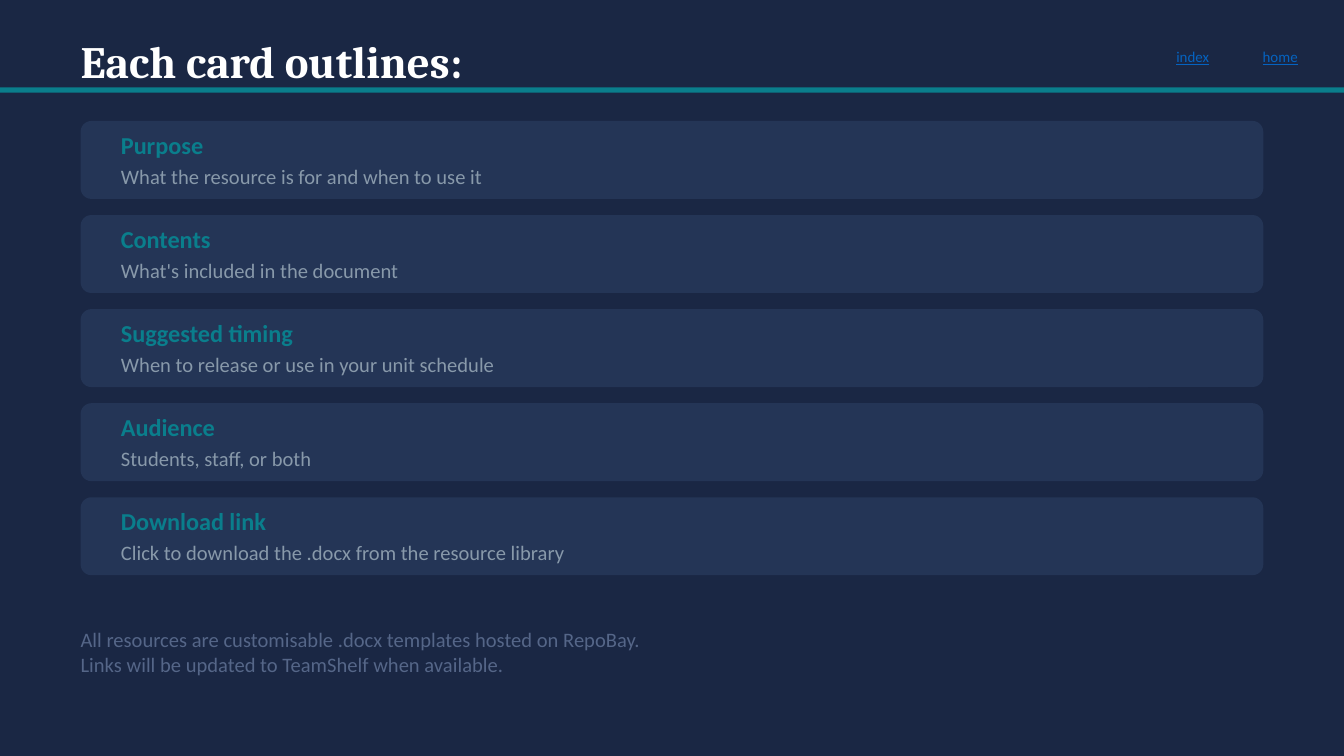
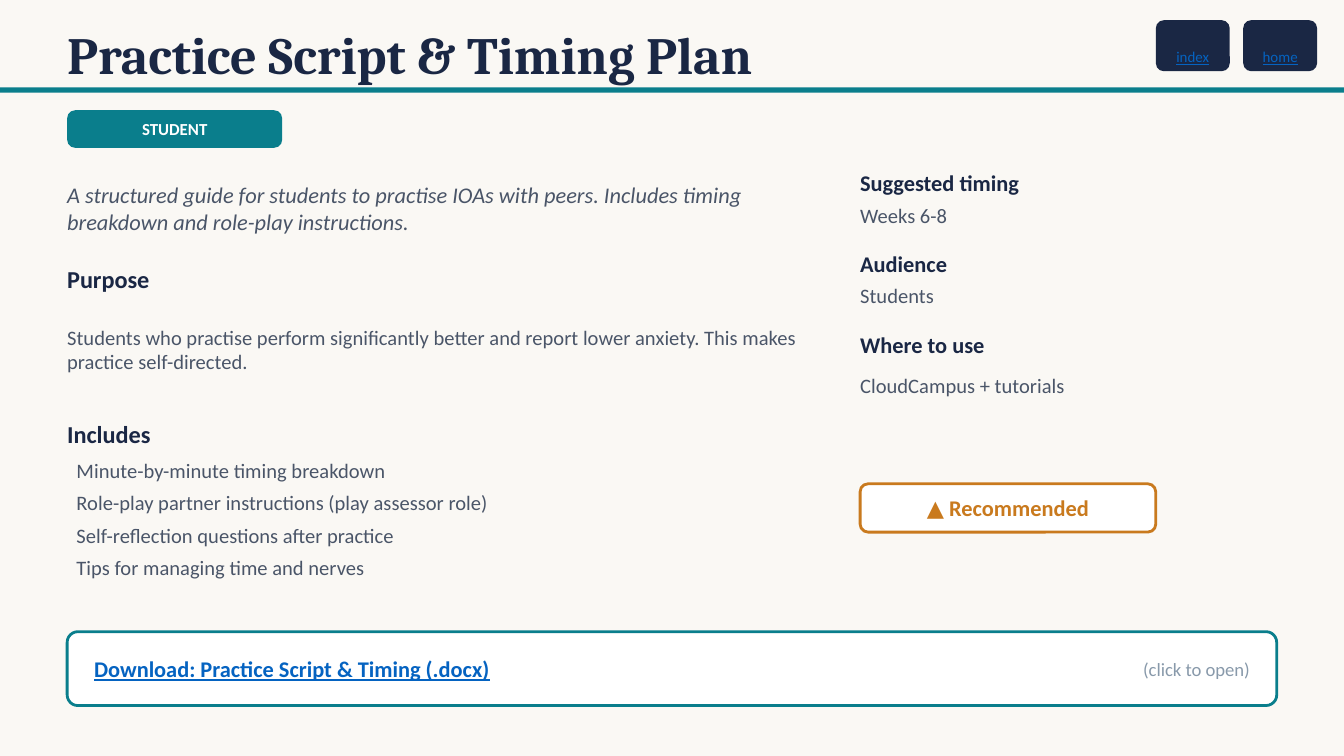
from pptx import Presentation
from pptx.dml.color import RGBColor
from pptx.enum.shapes import MSO_SHAPE
from pptx.enum.text import MSO_ANCHOR, MSO_AUTO_SIZE, PP_ALIGN
from pptx.util import Pt

NAVY = RGBColor(0x1A, 0x27, 0x44)
CARD_NAVY = RGBColor(0x24, 0x35, 0x56)
TEAL = RGBColor(0x0A, 0x7E, 0x8C)
CREAM = RGBColor(0xFA, 0xF8, 0xF4)
WHITE = RGBColor(0xFF, 0xFF, 0xFF)
SLATE = RGBColor(0x4A, 0x55, 0x68)
MIST = RGBColor(0x88, 0x99, 0xAA)
DUSK = RGBColor(0x55, 0x66, 0x88)
AMBER = RGBColor(0xC9, 0x7A, 0x1E)
LINK_BLUE = RGBColor(0x05, 0x63, 0xC1)

RECT, ROUNDED = MSO_SHAPE.RECTANGLE, MSO_SHAPE.ROUNDED_RECTANGLE
LEFT, CENTER, RIGHT = PP_ALIGN.LEFT, PP_ALIGN.CENTER, PP_ALIGN.RIGHT
MIDDLE, BOTTOM = MSO_ANCHOR.MIDDLE, MSO_ANCHOR.BOTTOM
NO_FIT = MSO_AUTO_SIZE.NONE

WIDTH, HEIGHT = 720, 405
TITLE_ONLY = 5
SMALL_RADIUS, LARGE_RADIUS = 4.32, 5.76
NAV_LINKS = {"index": 619.2, "home": 666}

HEADING = {"size": 13, "bold": True}
SIDE_HEADING = {"size": 12, "bold": True}
BODY = {"size": 11}
NAV_LINK = {"size": 8, "underline": True}

CARDS = [
    ("Purpose", "What the resource is for and when to use it"),
    ("Contents", "What's included in the document"),
    ("Suggested timing", "When to release or use in your unit schedule"),
    ("Audience", "Students, staff, or both"),
    ("Download link", "Click to download the .docx from the resource library"),
]
INCLUDES = [
    "Minute-by-minute timing breakdown",
    "Role-play partner instructions (play assessor role)",
    "Self-reflection questions after practice",
    "Tips for managing time and nerves",
]
SIDE_FACTS = [
    ("Suggested timing", "Weeks 6-8", 15.84),
    ("Audience", "Students", 15.84),
    ("Where to use", "CloudCampus + tutorials", 25.2),
]


class Deck:
    def __init__(self):
        self.deck = Presentation()
        self.deck.slide_width, self.deck.slide_height = Pt(WIDTH), Pt(HEIGHT)
        self.page = None

    def new_page(self, background):
        self.page = self.deck.slides.add_slide(self.deck.slide_layouts[TITLE_ONLY])
        fill = self.page.background.fill
        fill.solid()
        fill.fore_color.rgb = background

    def set_text(self, box, content, color, style, align=LEFT, anchor=MIDDLE,
                 indent=0, below=0, font="Calibri"):
        frame = box.text_frame
        frame_format = {
            "word_wrap": True, "auto_size": NO_FIT, "vertical_anchor": anchor,
            "margin_left": Pt(indent), "margin_top": 0,
            "margin_right": 0, "margin_bottom": Pt(below),
        }
        for name, value in frame_format.items():
            setattr(frame, name, value)
        font_format = {**style, "name": font, "size": Pt(style["size"])}
        for number, line in enumerate(content.split("\n")):
            para = frame.add_paragraph() if number else frame.paragraphs[0]
            para.alignment = align
            span = para.add_run()
            span.text = line
            for name, value in font_format.items():
                setattr(span.font, name, value)
            span.font.color.rgb = color

    def title(self, content, place, size, color):
        box = self.page.shapes.title
        for name, value in zip(("left", "top", "width", "height"), place):
            setattr(box, name, Pt(value))
        self.set_text(box, content, color, {"size": size, "bold": True}, font="Cambria")

    def text(self, content, place, color, style, **layout):
        box = self.page.shapes.add_textbox(*map(Pt, place))
        self.set_text(box, content, color, style, **layout)

    def panel(self, place, fill, radius=0, outline=None):
        kind = ROUNDED if radius else RECT
        panel = self.page.shapes.add_shape(kind, *map(Pt, place))
        panel.shadow.inherit = False
        panel.fill.solid()
        panel.fill.fore_color.rgb = fill
        if radius:
            panel.adjustments[0] = radius / place[3]
        if outline is None:
            panel.line.fill.background()
        else:
            panel.line.color.rgb = outline
            panel.line.width = Pt(1.5)

    def badge(self, content, place, fill, color, style, outline=None, **layout):
        self.panel(place, fill, SMALL_RADIUS, outline)
        self.text(content, place, color, style, align=CENTER, **layout)

    def header(self):
        self.panel((0, 46.8, WIDTH, 2.88), TEAL)
        for label, left in NAV_LINKS.items():
            self.badge(label, (left, 10.8, 39.6, 27.36), NAVY, LINK_BLUE, NAV_LINK,
                       anchor=BOTTOM, below=2.88)


def build_card_outline(deck):
    deck.new_page(NAVY)
    deck.title("Each card outlines:", (43.2, 14.4, 288, 36), 24, WHITE)
    deck.header()
    for number, (heading, detail) in enumerate(CARDS):
        top = 64.8 + 50.4 * number
        deck.panel((43.2, top, 633.6, 41.76), CARD_NAVY, LARGE_RADIUS)
        deck.text(heading, (64.8, top + 3.6, 158.4, 18), TEAL, HEADING)
        deck.text(detail, (64.8, top + 21.6, 590.4, 15.84), MIST, BODY)
    deck.text("All resources are customisable .docx templates hosted on RepoBay.\n"
              "Links will be updated to TeamShelf when available.",
              (43.2, 331.2, 633.6, 36), DUSK, BODY)


def build_practice_script(deck):
    deck.new_page(CREAM)
    deck.title("Practice Script & Timing Plan", (36, 10.8, 540, 36), 28, NAVY)
    deck.header()
    deck.badge("STUDENT", (36, 59.04, 115.2, 20.16), TEAL, WHITE,
               {"size": 9, "bold": True})

    left, width = 36, 396
    deck.text("A structured guide for students to practise IOAs with peers. "
              "Includes timing breakdown and role-play instructions.",
              (left, 90, width, 43.2), SLATE, {"size": 12, "italic": True})
    deck.text("Purpose", (left, 140.4, width, 18), NAVY, HEADING)
    deck.text("Students who practise perform significantly better and report "
              "lower anxiety. This makes practice self-directed.",
              (left, 158.4, width, 57.6), SLATE, BODY)
    deck.text("Includes", (left, 223.2, width, 18), NAVY, HEADING)
    for number, item in enumerate(INCLUDES):
        deck.text(item, (left, 243.36 + 17.28 * number, width, 17.28), SLATE, BODY,
                  indent=5)

    side, side_width = 460.8, 230.4
    for number, (heading, fact, height) in enumerate(SIDE_FACTS):
        top = 90 + 43.2 * number
        deck.text(heading, (side, top, side_width, 15.84), NAVY, SIDE_HEADING)
        deck.text(fact, (side, top + 17.28, side_width, height), SLATE, BODY)
    deck.badge("▲ Recommended", (side, 259.2, 158.4, 25.92), WHITE, AMBER,
               SIDE_HEADING, outline=AMBER)

    top, height = 338.4, 39.6
    deck.panel((left, top, 648, height), WHITE, LARGE_RADIUS, TEAL)
    deck.text("Download: Practice Script & Timing (.docx)", (50.4, top, 504, height),
              LINK_BLUE, {"size": 12, "bold": True, "underline": True})
    deck.text("(click to open)", (561.6, top, 108, height), MIST, {"size": 10},
              align=RIGHT)


def main():
    deck = Deck()
    build_card_outline(deck)
    build_practice_script(deck)
    deck.deck.save("out.pptx")


if __name__ == "__main__":
    main()
